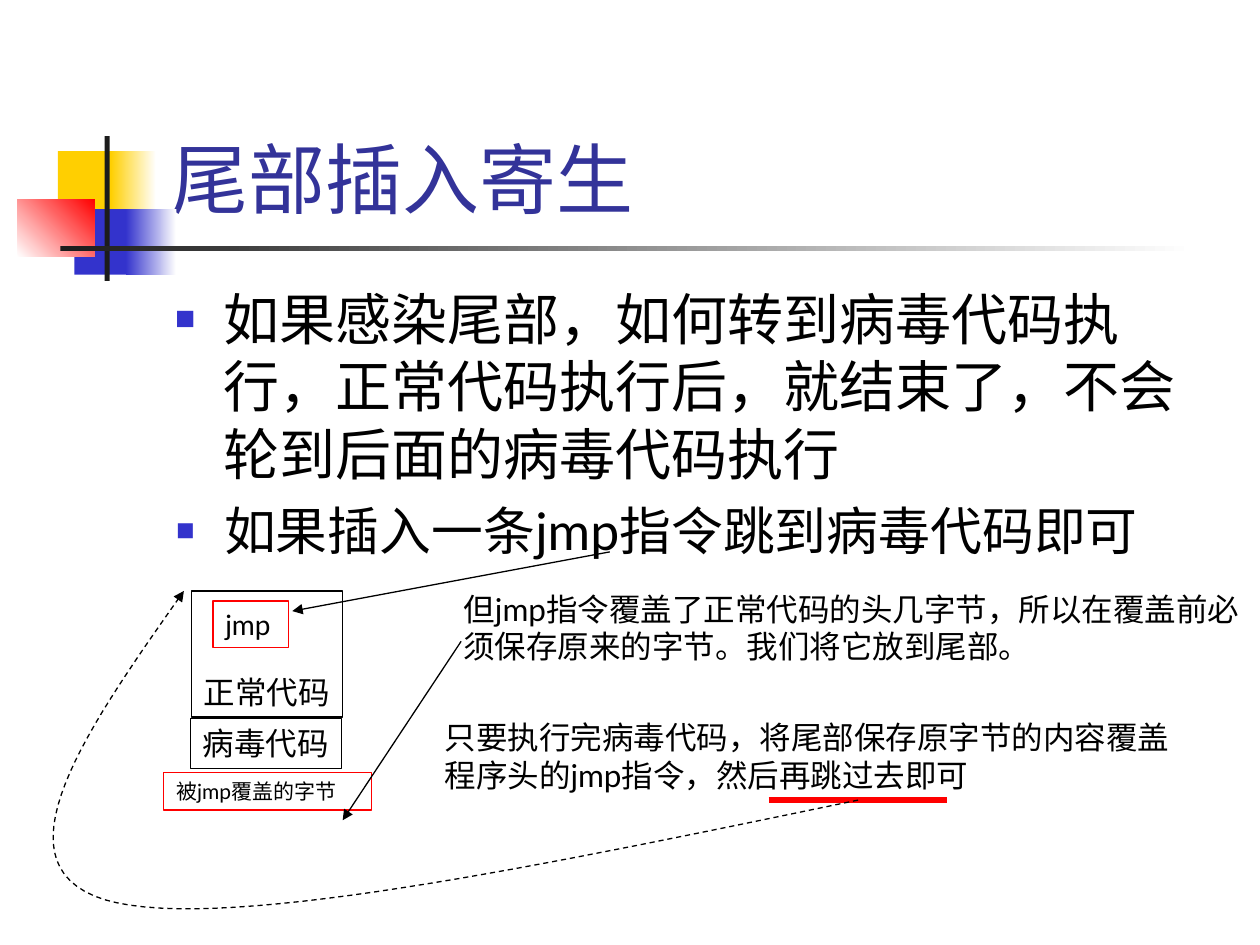
from dataclasses import dataclass

from lxml.etree import SubElement
from pptx import Presentation
from pptx.dml.color import RGBColor
from pptx.enum.dml import MSO_LINE
from pptx.enum.shapes import MSO_CONNECTOR, MSO_SHAPE
from pptx.enum.text import MSO_ANCHOR, MSO_AUTO_SIZE, PP_ALIGN
from pptx.oxml.ns import qn
from pptx.util import Inches, Pt


@dataclass(frozen=True)
class Theme:
    font: str = "Lato"
    bullet_font: str = "Arial"
    title_color: str = "333399"
    blue: str = "3333CC"
    yellow: str = "FFCF01"
    red: str = "FF0000"
    dark: str = "1C1C1C"
    black: str = "000000"
    white: str = "FFFFFF"
    title: float = 44
    body: float = 32
    second_point: float = 29.6
    note: float = 18
    jump: float = 16
    small: float = 12
    thin: float = 0.74
    thick: float = 3


THEME = Theme()


def color(code):
    return RGBColor.from_string(code)


def place(shape, box):
    shape.left, shape.top, shape.width, shape.height = map(Inches, box)


def write(shape, text, size, ink=THEME.black, anchor=MSO_ANCHOR.TOP, wrap=True):
    """Fill a shape with one left-aligned paragraph and return it."""
    frame = shape.text_frame
    frame.word_wrap = wrap
    frame.auto_size = MSO_AUTO_SIZE.NONE
    frame.vertical_anchor = anchor
    paragraph = frame.paragraphs[0]
    paragraph.alignment = PP_ALIGN.LEFT
    run = paragraph.add_run()
    run.text = text
    run.font.size = Pt(size)
    run.font.name = THEME.font
    run.font.color.rgb = color(ink)
    SubElement(run._r.get_or_add_rPr(), qn("a:ea"), typeface=THEME.font)
    return paragraph


def add_bullet(paragraph):
    paragraph.space_before = Pt(8)
    properties = paragraph._p.get_or_add_pPr()
    indent = Inches(0.38)
    properties.set("marL", str(indent))
    properties.set("indent", str(-indent))
    properties.set("hangingPunct", "0")
    bullet_color = SubElement(properties, qn("a:buClr"))
    SubElement(bullet_color, qn("a:srgbClr"), val=THEME.blue)
    SubElement(properties, qn("a:buSzPct"), val="60000")
    SubElement(properties, qn("a:buFont"), typeface=THEME.bullet_font)
    SubElement(properties, qn("a:buChar"), char="■")


def style_line(shape, ink=THEME.black, width=THEME.thin, arrow=False):
    shape.line.color.rgb = color(ink)
    shape.line.width = Pt(width)
    if arrow:
        SubElement(shape.line._get_or_add_ln(), qn("a:tailEnd"), type="triangle")


def add_rectangle(slide, box):
    shape = slide.shapes.add_shape(MSO_SHAPE.RECTANGLE, *map(Inches, box))
    shape.shadow.inherit = False
    return shape


def add_block(slide, box, start, end=None, angle=0):
    """Add a borderless rectangle, plain or fading from start to end."""
    shape = add_rectangle(slide, box)
    shape.line.fill.background()
    if end is None:
        shape.fill.solid()
        shape.fill.fore_color.rgb = color(start)
        return
    shape.fill.gradient()
    shape.fill.gradient_angle = angle
    for stop, code in zip(shape.fill.gradient_stops, (start, end)):
        stop.color.rgb = color(code)


def add_code_box(slide, box, text, size, border, **layout):
    shape = add_rectangle(slide, box)
    shape.fill.background()
    style_line(shape, border)
    write(shape, text, size, **layout)


def add_note(slide, box, text, size=THEME.note):
    return write(slide.shapes.add_textbox(*map(Inches, box)), text, size)


def add_straight(slide, start, end, **style):
    line = slide.shapes.add_connector(
        MSO_CONNECTOR.STRAIGHT, *map(Inches, start + end))
    SubElement(line._element.spPr, qn("a:effectLst"))
    style_line(line, **style)


def bezier(points, steps=30):
    """Return points along a cubic curve, without its start."""
    weights = (1, 3, 3, 1)
    return [
        tuple(sum(weight * (1 - t) ** (3 - i) * t ** i * point[axis]
                  for i, (weight, point) in enumerate(zip(weights, points)))
              for axis in (0, 1))
        for t in (step / steps for step in range(1, steps + 1))]


def draw_ornament(slide, left, top):
    """Coloured squares, upright bar and fading rule beside the title."""
    theme = THEME
    blocks = [
        ((0.32, 0.12, 0.48, 0.52), theme.yellow),
        ((0.74, 0.12, 0.36, 0.52), theme.yellow, theme.white),
        ((0.45, 0.58, 0.46, 0.52), theme.blue),
        ((0.86, 0.58, 0.4, 0.52), theme.blue, theme.white),
        ((0, 0.5, 0.61, 0.46), theme.white, theme.red, 45),
        ((0.69, 0, 0.04, 1.15), theme.dark),
        ((0.34, 0.87, 9, 0.04), theme.dark, theme.white),
    ]
    for (x, y, width, height), *fill in blocks:
        add_block(slide, (left + x, top + y, width, height), *fill)


def draw_text(slide, title_box, body_box, second_box):
    """Title and the two bulleted points."""
    title, body = slide.placeholders
    place(title, title_box)
    write(title, "尾部插入寄生", THEME.title, THEME.title_color, MSO_ANCHOR.BOTTOM)
    place(body, body_box)
    add_bullet(write(
        body, "如果感染尾部，如何转到病毒代码执行，正常代码执行后，就结束了，"
        "不会轮到后面的病毒代码执行", THEME.body))
    add_bullet(add_note(
        slide, second_box, "如果插入一条jmp指令跳到病毒代码即可", THEME.second_point))


def draw_program(slide, left, top):
    """Infected program: normal code, virus code and saved bytes."""
    theme = THEME
    add_code_box(slide, (left + 0.22, top, 1.2, 1), "正常代码", theme.note,
                 theme.black, anchor=MSO_ANCHOR.BOTTOM, wrap=False)
    add_code_box(slide, (left + 0.21, top + 1.01, 1.2, 0.4), "病毒代码",
                 theme.note, theme.black, wrap=False)
    add_code_box(slide, (left + 0.39, top + 0.08, 0.6, 0.37), "jmp",
                 theme.jump, theme.red, wrap=False)
    add_code_box(slide, (left, top + 1.44, 1.65, 0.3), "被jmp覆盖的字节",
                 theme.small, theme.red)


def draw_notes(slide):
    """Explanations to the right of the program."""
    add_note(slide, (3.58, 4.63, 6.38, 0.7),
             "但jmp指令覆盖了正常代码的头几字节，所以在覆盖前必须保存原来的字节。"
             "我们将它放到尾部。")
    add_note(slide, (3.43, 5.65, 6.09, 0.7),
             "只要执行完病毒代码，将尾部保存原字节的内容覆盖程序头的jmp指令，"
             "然后再跳过去即可")


def draw_jump_back(slide, start, turn, end):
    """Dashed curve from the last note to the program's head."""
    curve = (bezier([start, (4.26, 6.88), (1.72, 7.41), turn])
             + bezier([turn, (-0.07, 6.86), (0.69, 5.78), end]))
    builder = slide.shapes.build_freeform(*map(Inches, start))
    builder.add_line_segments(
        [(Inches(x), Inches(y)) for x, y in curve], close=False)
    jump_back = builder.convert_to_shape()
    jump_back.shadow.inherit = False
    jump_back.fill.background()
    jump_back.line.dash_style = MSO_LINE.DASH
    style_line(jump_back, arrow=True)


def draw_links(slide):
    """Arrows from the text to the program, and the red underline."""
    add_straight(slide, (3.66, 5.09), (2.72, 6.51), arrow=True)
    add_straight(slide, (4.84, 4.38), (2.32, 4.85), arrow=True)
    add_straight(slide, (6.1, 6.35), (7.52, 6.35), ink=THEME.red, width=THEME.thick)


def main():
    presentation = Presentation()
    presentation.slide_width, presentation.slide_height = Inches(10), Inches(7.5)
    slide = presentation.slides.add_slide(presentation.slide_layouts[1])
    draw_ornament(slide, 0.14, 1.08)
    draw_text(slide, (1.26, 0.23, 8.52, 1.6), (1.29, 2.21, 8.5, 1.94),
              (1.3, 3.91, 8.5, 0.79))
    draw_program(slide, 1.3, 4.69)
    draw_notes(slide)
    draw_links(slide)
    draw_jump_back(slide, (6.81, 6.35), (0.83, 7.14), (1.46, 4.69))
    presentation.save("out.pptx")


main()
